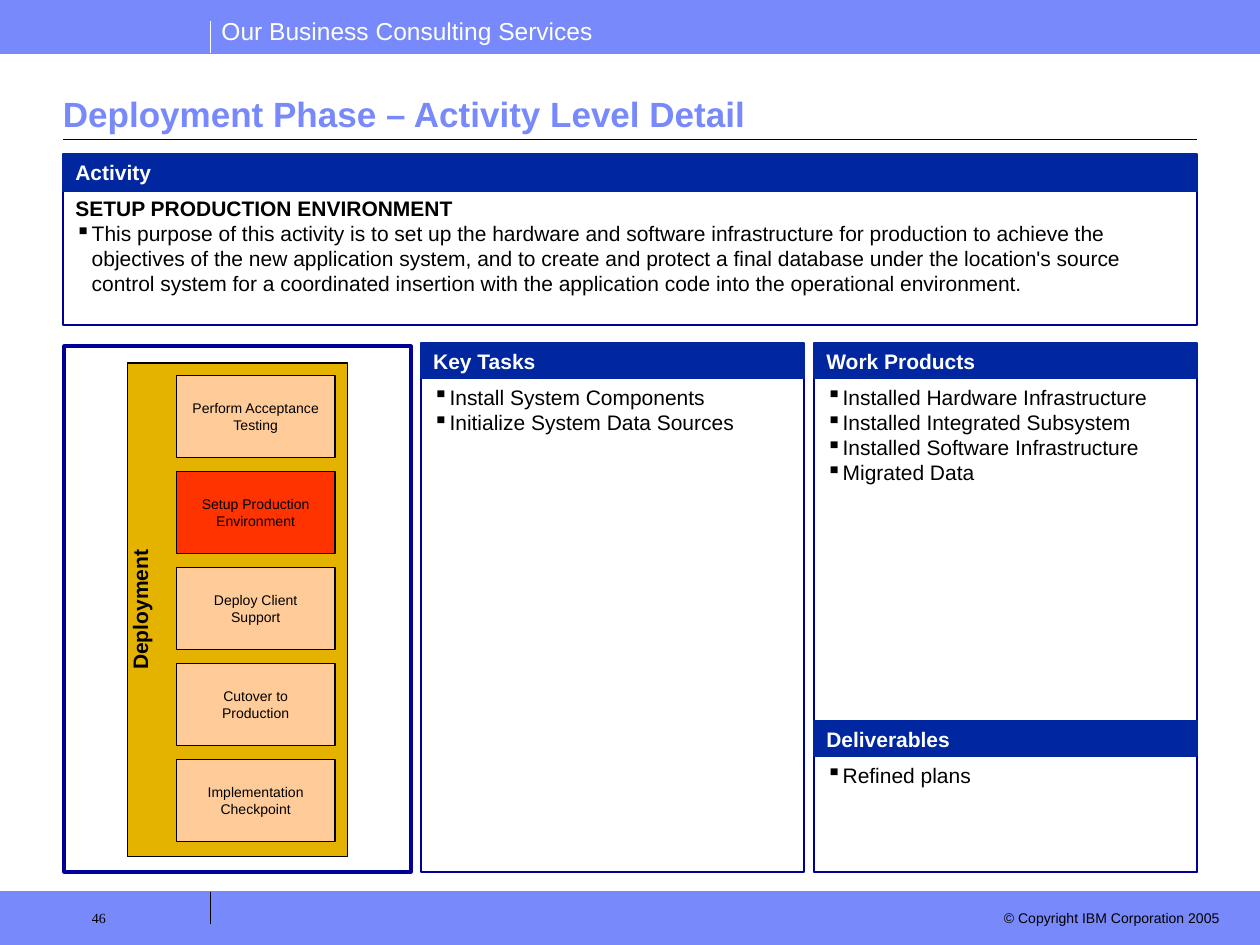
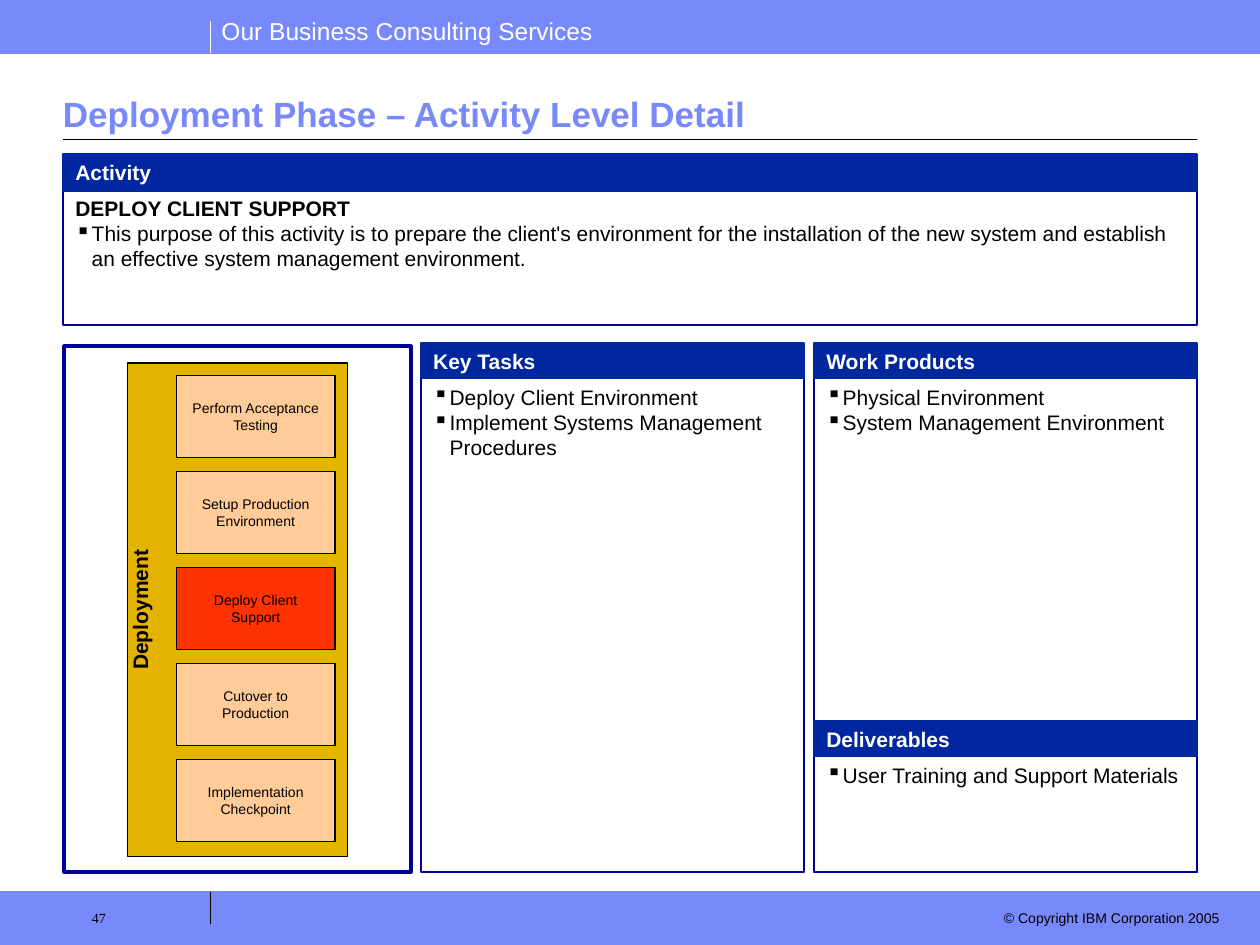
from lxml import etree
from pptx import Presentation
from pptx.dml.color import RGBColor
from pptx.enum.shapes import MSO_CONNECTOR, MSO_SHAPE
from pptx.enum.text import MSO_ANCHOR as Anchor, PP_ALIGN as Align
from pptx.oxml.ns import qn
from pptx.util import Inches, Pt

BLACK, WHITE = "000000", "FFFFFF"
PERIWINKLE, BAR_BLUE, FRAME_BLUE = "7889FB", "00279F", "000099"
GOLD, PEACH, RED = "E4B300", "FFCC99", "FF3300"
BAR_HEIGHT = 0.28
STAGES = [
    "Perform Acceptance Testing",
    "Setup Production Environment",
    "Deploy Client Support",
    "Cutover to Production",
    "Implementation Checkpoint",
]
ACTIVITIES = [
    {
        "number": 46,
        "stage": "Setup Production Environment",
        "purpose": "This purpose of this activity is to set up the hardware and software "
                   "infrastructure for production to achieve the objectives of the new "
                   "application system, and to create and protect a final database under the "
                   "location's source control system for a coordinated insertion with the "
                   "application code into the operational environment.",
        "tasks": ["Install System Components", "Initialize System Data Sources"],
        "products": ["Installed Hardware Infrastructure", "Installed Integrated Subsystem",
                     "Installed Software Infrastructure", "Migrated Data"],
        "deliverables": ["Refined plans"],
    },
    {
        "number": 47,
        "stage": "Deploy Client Support",
        "purpose": "This purpose of this activity is to prepare the client's environment for the "
                   "installation of the new system and establish an effective system management "
                   "environment.",
        "tasks": ["Deploy Client Environment", "Implement Systems Management Procedures"],
        "products": ["Physical Environment", "System Management Environment"],
        "deliverables": ["User Training and Support Materials"],
    },
]


def color(value):
    """Turn a hex string into a colour."""
    return RGBColor.from_string(value)


def add_box(shapes, left, top, width, height, fill=None, line=BLACK, weight=0.75):
    """Add a flat rectangle, unfilled when no fill is given."""
    box = shapes.add_shape(MSO_SHAPE.RECTANGLE, Inches(left), Inches(top),
                           Inches(width), Inches(height))
    box.shadow.inherit = False
    if fill:
        box.fill.solid()
        box.fill.fore_color.rgb = color(fill)
    else:
        box.fill.background()
    box.line.color.rgb = color(line)
    box.line.width = Pt(weight)
    return box


def add_line(slide, left, top, right, bottom, line, weight=0.75):
    """Add a straight line without a shadow."""
    connector = slide.shapes.add_connector(MSO_CONNECTOR.STRAIGHT, Inches(left), Inches(top),
                                           Inches(right), Inches(bottom))
    connector.line.color.rgb = color(line)
    connector.line.width = Pt(weight)
    etree.SubElement(connector._element.spPr, qn("a:effectLst"))


def add_label(slide, text, left, top, width, height, **style):
    """Add a wrapping text box with one styled paragraph."""
    label = slide.shapes.add_textbox(Inches(left), Inches(top), Inches(width), Inches(height))
    write(label, text, **style)
    return label


def style_font(paragraph, size, ink, bold=False, name="Arial"):
    """Set the font of a whole paragraph."""
    font = paragraph.font
    font.name, font.size, font.bold = name, Pt(size), bold
    font.color.rgb = color(ink)


def write(shape, text, size=12, ink=BLACK, bold=False, align=Align.LEFT,
          anchor=Anchor.TOP, name="Arial"):
    """Write one paragraph into a shape."""
    frame = shape.text_frame
    frame.word_wrap = True
    frame.vertical_anchor = anchor
    paragraph = frame.paragraphs[0]
    paragraph.text, paragraph.alignment = text, align
    style_font(paragraph, size, ink, bold, name)


def add_bullet(paragraph, text):
    """Write a square-bulleted paragraph with a hanging indent."""
    paragraph.text, paragraph.alignment = text, Align.LEFT
    properties = paragraph._p.get_or_add_pPr()
    properties.set("marL", str(Inches(0.13)))
    properties.set("indent", str(-Inches(0.13)))
    bullet_color = etree.SubElement(properties, qn("a:buClr"))
    etree.SubElement(bullet_color, qn("a:srgbClr"), val=BLACK)
    etree.SubElement(properties, qn("a:buChar"), char="▪")
    style_font(paragraph, 12, BLACK)


def add_frame(slide, number):
    """Draw the bands, rules, title and footer shared by the slides."""
    for top in (7.08, 0):
        add_box(slide.shapes, 0, top, 10, 0.42, PERIWINKLE, PERIWINKLE)
    for edge in (0.42, 7.08):
        add_line(slide, 0, edge, 10, edge, PERIWINKLE, 0.5)
    add_label(slide, "Our Business Consulting Services", 1.66, 0.08, 3.5, 0.34,
              size=14, ink=WHITE)
    add_line(slide, 1.67, 0.42, 1.67, 0.17, WHITE)
    add_line(slide, 1.67, 7.33, 1.67, 7.08, BLACK)
    add_line(slide, 0.5, 1.11, 9.5, 1.11, BLACK)
    add_label(slide, "© Copyright IBM Corporation 2005", 7.83, 7.17, 1.95, 0.24,
              size=8, align=Align.RIGHT)
    title = add_label(slide, "Deployment Phase – Activity Level Detail", 0.5, 0.67, 9, 0.45,
                      size=20, ink=PERIWINKLE, bold=True, anchor=Anchor.BOTTOM)
    title.text_frame.margin_left = title.text_frame.margin_right = 0
    page = add_label(slide, str(number), 0.33, 7.15, 1.33, 0.35, size=8, name="Times New Roman")
    page.text_frame.margin_left = Inches(0.4)
    page.text_frame.margin_top = Inches(0.07)


def add_panel(slide, heading, bullets, left, top, width, height, lead=None,
              bar_height=BAR_HEIGHT):
    """Draw a bulleted box under a dark heading bar."""
    body = add_box(slide.shapes, left, top + BAR_HEIGHT, width, height - BAR_HEIGHT,
                   line=FRAME_BLUE, weight=1)
    write(body, lead or "", bold=True)
    frame = body.text_frame
    for index, text in enumerate(bullets):
        is_first = index == 0 and not lead
        add_bullet(frame.paragraphs[0] if is_first else frame.add_paragraph(), text)
    bar = add_box(slide.shapes, left, top, width, bar_height, BAR_BLUE, BAR_BLUE, 1)
    write(bar, heading, ink=WHITE, bold=True)


def add_stage_map(slide, current, left, top, width, height):
    """Draw the framed column of stages with the current one in red."""
    add_box(slide.shapes, left, top, width, height, line=FRAME_BLUE, weight=2.25)
    shapes = slide.shapes.add_group_shape().shapes
    column_left, column_top, column_height = left + 0.5, top + 0.13, height - 0.25
    column = add_box(shapes, column_left, column_top, 1.75, column_height, GOLD)
    write(column, "Deployment", bold=True, align=Align.CENTER)
    frame = column.text_frame
    frame._txBody.bodyPr.set("vert", "vert270")
    frame.margin_left, frame.margin_right = 0, Inches(0.05)
    frame.margin_top, frame.margin_bottom = Inches(0.05), Inches(0.1)

    stage_height = 0.65
    pitch = (column_height - 0.22 - stage_height) / (len(STAGES) - 1)
    for index, stage in enumerate(STAGES):
        box = add_box(shapes, column_left + 0.39, column_top + 0.1 + index * pitch,
                      1.26, stage_height, RED if stage == current else PEACH)
        write(box, stage, size=8, align=Align.CENTER, anchor=Anchor.MIDDLE)


def add_activity_slide(presentation, activity):
    """Build one activity detail slide."""
    slide = presentation.slides.add_slide(presentation.slide_layouts[6])
    add_frame(slide, activity["number"])
    add_panel(slide, "Activity", [activity["purpose"]], 0.5, 1.22, 9, 1.36,
              lead=activity["stage"].upper(), bar_height=0.3)
    add_panel(slide, "Key Tasks", activity["tasks"], 3.34, 2.72, 3.04, 4.2)
    add_panel(slide, "Work Products", activity["products"], 6.46, 2.72, 3.04, 4.2)
    add_stage_map(slide, activity["stage"], 0.51, 2.75, 2.75, 4.17)
    add_panel(slide, "Deliverables", activity["deliverables"], 6.46, 5.72, 3.04, 1.2)


def main():
    """Build and save the presentation."""
    presentation = Presentation()
    presentation.slide_width, presentation.slide_height = Inches(10), Inches(7.5)
    for activity in ACTIVITIES:
        add_activity_slide(presentation, activity)
    presentation.save("out.pptx")


if __name__ == "__main__":
    main()
